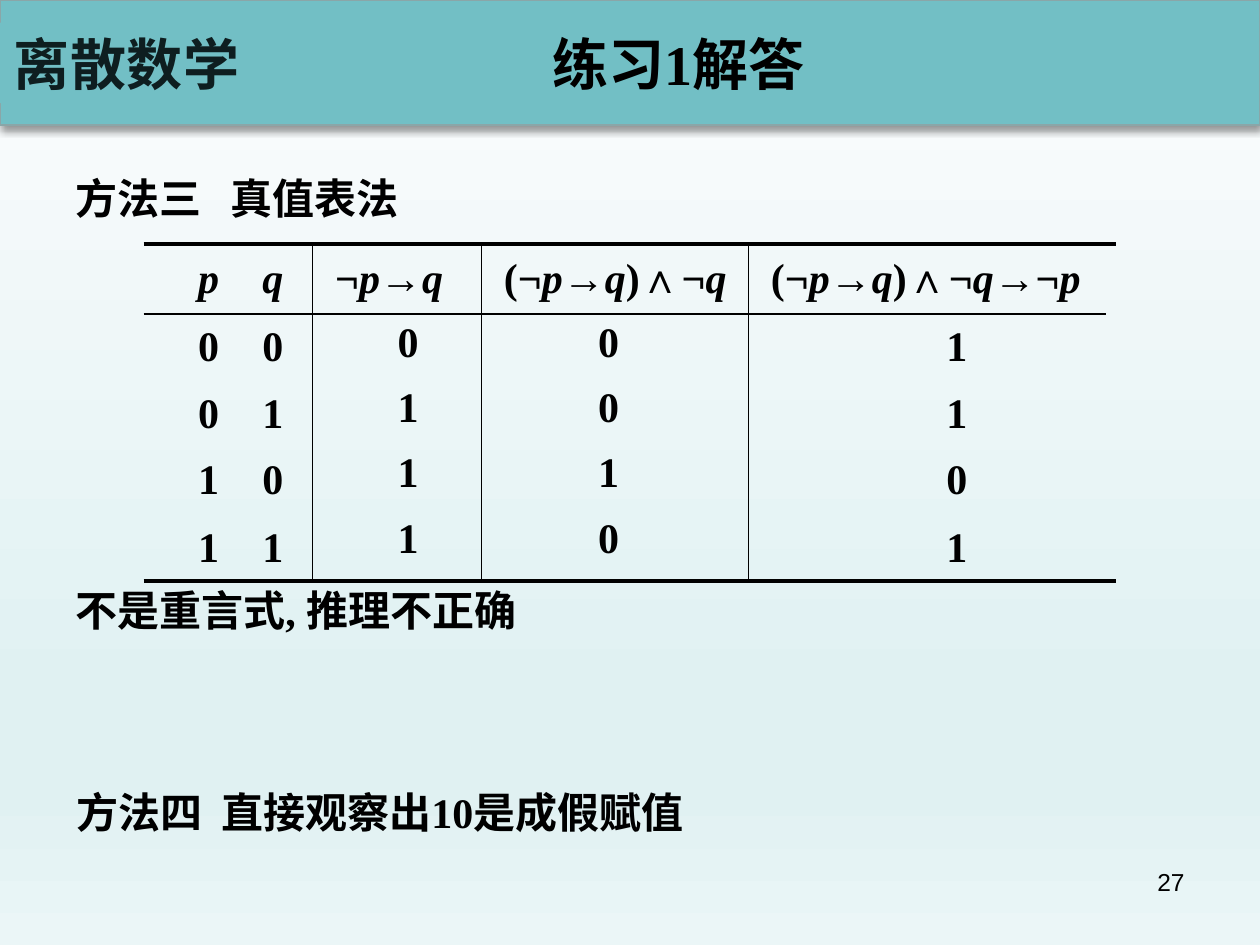
from copy import deepcopy
from dataclasses import dataclass
from itertools import accumulate, groupby

from lxml.etree import SubElement
from pptx import Presentation
from pptx.dml.color import RGBColor
from pptx.enum.shapes import MSO_CONNECTOR as Connector, MSO_SHAPE as Shape
from pptx.enum.text import MSO_ANCHOR as Anchor, PP_ALIGN as Align
from pptx.oxml import parse_xml
from pptx.oxml.ns import nsdecls, qn
from pptx.util import Inches, Pt

COLUMNS, ROWS = 100, 75
PLAIN_TABLE = "{2D5ABB26-0587-4C30-8999-92F81FD0307C}"


@dataclass(frozen=True)
class Theme:
    ink: str = "000000"
    band: str = "72BFC5"
    band_edge: str = "8AA6A8"
    label: str = "0E1E20"
    backdrop: tuple = ((0, "FCFDFE"), (0.74, "E0F1F2"), (0.83, "E0F1F2"), (1, "EBF6F7"))
    serif: str = "Times New Roman"
    sans: str = "Arial"
    chinese: str = "Noto Sans CJK SC"
    heading: int = 32
    body: int = 24
    small: int = 14
    thick: float = 2.25
    medium: float = 1
    thin: float = 0.75


class SlideBuilder:
    def __init__(self, deck, theme):
        self.theme = theme
        self.width, self.height = deck.slide_width, deck.slide_height
        self.page = deck.slides.add_slide(deck.slide_layouts[5])

    def across(self, columns):
        return round(self.width * columns / COLUMNS)

    def down(self, rows):
        return round(self.height * rows / ROWS)

    def area(self, left, top, width, height):
        return self.across(left), self.down(top), self.across(width), self.down(height)

    def style(self, para, size, name, color=None, bold=True, align=None):
        para.alignment = align
        font = para.font
        font.size, font.bold, font.name = Pt(size), bold, name
        font.color.rgb = RGBColor.from_string(color or self.theme.ink)
        SubElement(font._rPr, qn("a:ea")).set("typeface", self.theme.chinese)

    def backdrop(self):
        fill = self.page.background.fill
        fill.gradient()
        fill.gradient_angle = 270
        first = fill.gradient_stops[0]._gs
        for _ in self.theme.backdrop[2:]:
            first.addnext(deepcopy(first))
        for stop, (position, color) in zip(fill.gradient_stops, self.theme.backdrop):
            stop.position = position
            stop.color.rgb = RGBColor.from_string(color)

    def block(self, *place):
        box = self.page.shapes.add_shape(Shape.RECTANGLE, *self.area(*place))
        box.shadow.inherit = False
        box.fill.solid()
        box.fill.fore_color.rgb = RGBColor.from_string(self.theme.band)
        box.line.fill.background()
        return box

    def band(self, *place):
        box = self.block(*place)
        box.line.color.rgb = RGBColor.from_string(self.theme.band_edge)
        box.line.width = Pt(self.theme.medium)
        effects = box._element.spPr.find(qn("a:effectLst"))
        effects.append(parse_xml(
            f'<a:outerShdw {nsdecls("a")} blurRad="{Pt(4)}" dist="{Pt(3)}" dir="5400000" '
            'algn="t" rotWithShape="0"><a:srgbClr val="000000"><a:alpha val="40000"/>'
            '</a:srgbClr></a:outerShdw>'))

    def label(self, text, *place):
        frame = self.block(*place).text_frame
        frame.word_wrap = False
        frame.vertical_anchor = Anchor.MIDDLE
        para = frame.paragraphs[0]
        para.text = text
        self.style(para, self.theme.heading, self.theme.chinese, self.theme.label,
                   align=Align.CENTER)
        para.font._rPr.set("spc", "50")

    def title(self, parts, *place):
        box = self.page.shapes.title
        box.left, box.top, box.width, box.height = self.area(*place)
        self.page.shapes._spTree.append(box._element)
        frame = box.text_frame
        frame.vertical_anchor = Anchor.MIDDLE
        frame.margin_top = frame.margin_bottom = 0
        para = frame.paragraphs[0]
        self.style(para, self.theme.heading, self.theme.sans, align=Align.CENTER)
        for part in parts:
            span = para.add_run()
            span.text = part
            if part.isdigit():
                span.font.name = self.theme.serif

    def text(self, text, *place, tab=None):
        frame = self.page.shapes.add_textbox(*self.area(*place)).text_frame
        frame.word_wrap = True
        frame.vertical_anchor = Anchor.MIDDLE
        para = frame.paragraphs[0]
        para.text = text
        if tab:
            stops = SubElement(para._p.get_or_add_pPr(), qn("a:tabLst"))
            SubElement(stops, qn("a:tab"), pos=str(self.across(tab)), algn="l")
        self.style(para, self.theme.body, self.theme.serif)

    def page_number(self, text, *place):
        frame = self.page.shapes.add_textbox(*self.area(*place)).text_frame
        frame.word_wrap = True
        para = frame.paragraphs[0]
        para.text = text
        self.style(para, self.theme.small, self.theme.sans, bold=False, align=Align.RIGHT)

    def rule(self, left, top, right, bottom, weight):
        line = self.page.shapes.add_connector(
            Connector.STRAIGHT, self.across(left), self.down(top),
            self.across(right), self.down(bottom))
        line.line.color.rgb = RGBColor.from_string(self.theme.ink)
        line.line.width = Pt(weight)
        SubElement(line._element.spPr, qn("a:effectLst"))

    def formula(self, para, text):
        for italic, letters in groupby(text, str.isalpha):
            span = para.add_run()
            span.text = "".join(letters)
            if italic:
                span.font.italic = True

    def truth_table(self, left, top, columns, heights, rows):
        theme = self.theme
        edges = list(accumulate((c[0] for c in columns), initial=left))
        levels = list(accumulate(heights, initial=top))
        right, bottom = edges[-1], levels[-1]
        place = self.area(left, top, right - left, bottom - top)
        table = self.page.shapes.add_table(len(rows), len(columns), *place).table
        table.first_row = table.horz_banding = False
        table._tbl.tblPr.find(qn("a:tableStyleId")).text = PLAIN_TABLE
        for row, height in zip(table.rows, heights):
            row.height = self.down(height)
        for column, (width, *_) in zip(table.columns, columns):
            column.width = self.across(width)
        for y, values in enumerate(rows):
            for x, value in enumerate(values):
                heading = y == 0 and len(value) > 1
                inset = (1.8, 0) if heading else columns[x][1:]
                lift = 0.3 + 0.28 * y if y and x in (2, 3) else 0
                cell = table.cell(y, x)
                cell.fill.background()
                cell.vertical_anchor = Anchor.MIDDLE
                cell.margin_top, cell.margin_bottom = 0, self.down(lift)
                cell.margin_left, cell.margin_right = map(self.across, inset)
                para = cell.text_frame.paragraphs[0]
                self.style(para, theme.body, theme.serif,
                           align=Align.LEFT if heading else Align.CENTER)
                self.formula(para, value)
        self.rule(left, top, right, top, theme.thick)
        self.rule(left, levels[1], right - 0.8, levels[1], theme.medium)
        self.rule(left, bottom, right, bottom, theme.thick)
        for edge in edges[2:-1]:
            self.rule(edge, top, edge, bottom, theme.thin)


def main():
    deck = Presentation()
    deck.slide_width, deck.slide_height = Inches(10), Inches(7.5)
    slide = SlideBuilder(deck, Theme())
    slide.backdrop()
    slide.band(0, 0, 100, 9.9)
    slide.label("离散数学", 0, 1.8, 20.1, 6.4)
    slide.title(("练习", "1", "解答"), 20.4, 2.7, 66.9, 4.6)
    slide.text("方法三\t真值表法", 5, 13.2, 90, 5, tab=12.3)
    slide.truth_table(
        11.4, 19.4,
        columns=((7.7, 2.6, 0), (5.7, 0, 0.6), (13.4, 1.8, 0), (21.2, 0, 1), (29.2, 3.9, 0)),
        heights=(5.5, 5.3, 5.3, 5.3, 5.3),
        rows=(("p", "q", "¬p→q", "(¬p→q)∧¬q", "(¬p→q)∧¬q→¬p"),
              "00001", "01101", "10110", "11101"))
    slide.text("不是重言式, 推理不正确", 5, 45.9, 90, 5)
    slide.text("方法四\t直接观察出10是成假赋值", 5.1, 61.9, 90, 5, tab=11.5)
    slide.page_number("27", 71.7, 68.3, 23.3, 5.2)
    deck.save("out.pptx")


if __name__ == "__main__":
    main()
